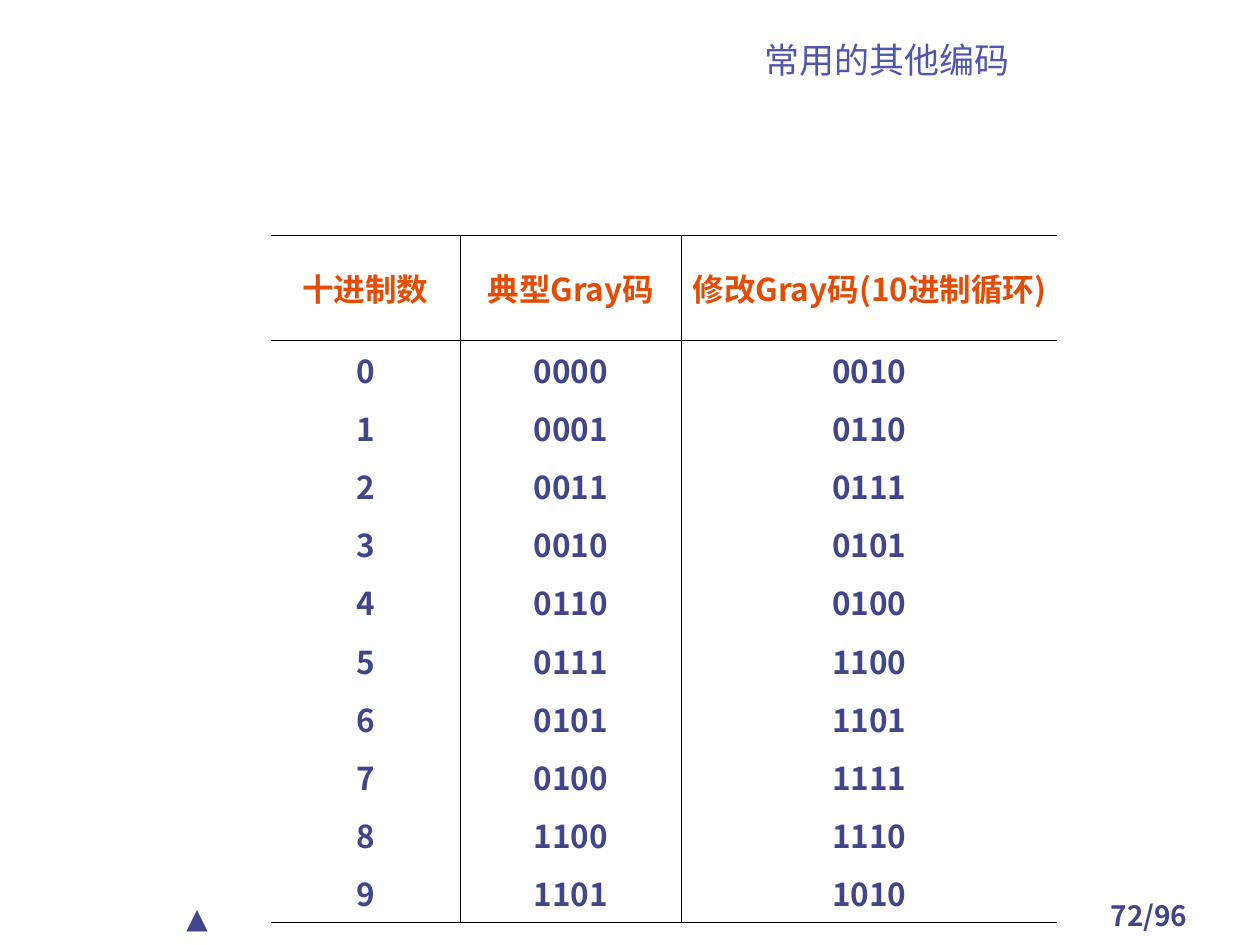
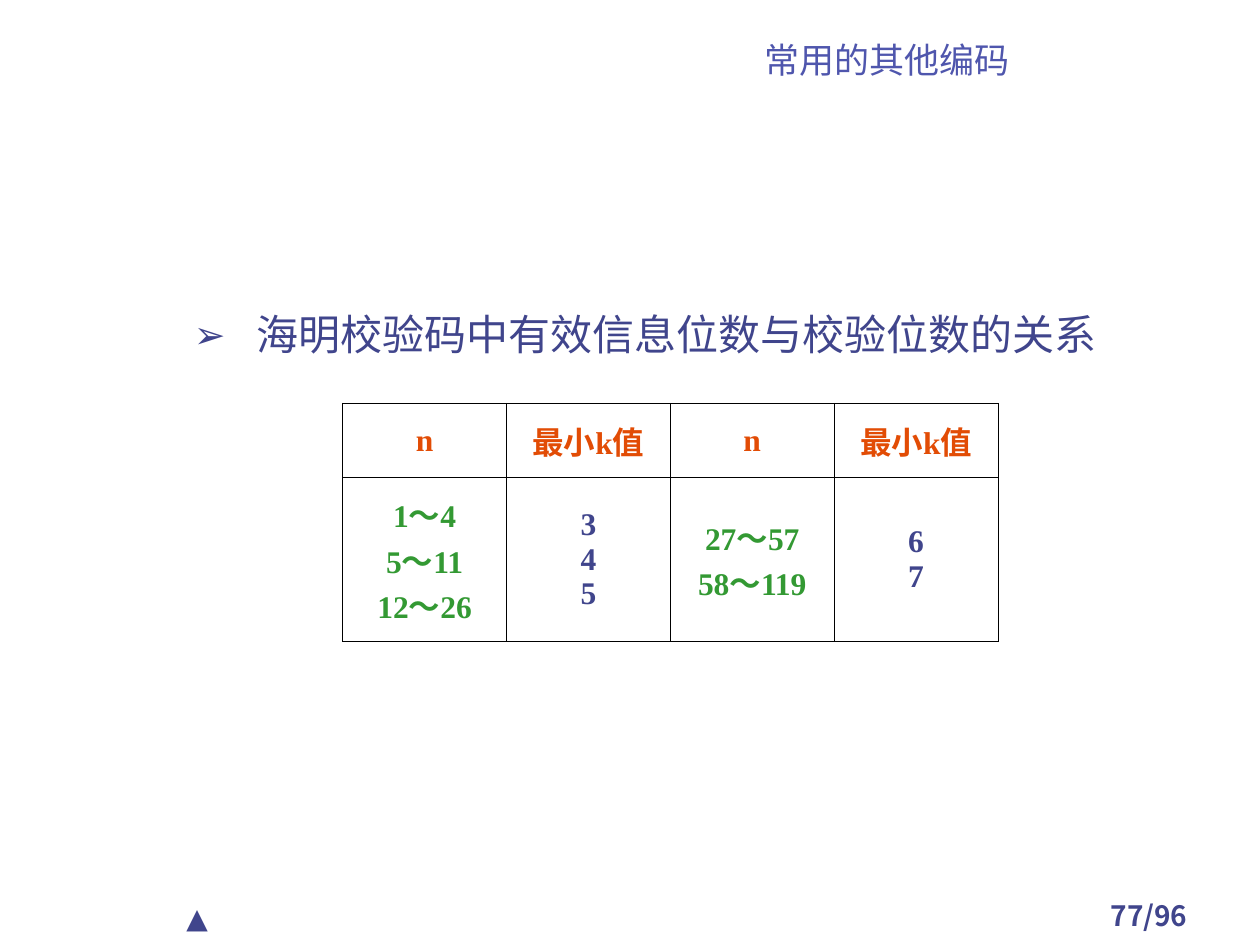
from lxml.etree import SubElement
from pptx import Presentation
from pptx.dml.color import RGBColor
from pptx.enum.text import MSO_ANCHOR as Anchor, PP_ALIGN as Align
from pptx.oxml.ns import qn
from pptx.util import Inches, Pt

# Shared look
INDIGO, TITLE_BLUE = "40458C", "4F56AD"
ORANGE, GREEN, BLACK = "E24C05", "339933", "000000"
SANS, CJK, SERIF = "Lato", "Noto Sans CJK SC", "Times New Roman"
HAIRLINE, DIVIDER = 0.45, 0.96
TITLE = "常用的其他编码"
PAGE_COUNT = 96


def color(hex_code):
    return RGBColor.from_string(hex_code)


def add_run(paragraph, text, size, font, hex_code, bold=False):
    run = paragraph.add_run()
    run.text = text
    run.font.size = Pt(size)
    run.font.name = font
    run.font.bold = bold
    run.font.color.rgb = color(hex_code)
    SubElement(run._r.get_or_add_rPr(), qn("a:ea"), typeface=CJK)


def add_line(slide, box, text, size, font, hex_code, bold=False,
             align=Align.LEFT, anchor=Anchor.TOP):
    frame = slide.shapes.add_textbox(*map(Inches, box)).text_frame
    frame.word_wrap = True
    frame.vertical_anchor = anchor
    paragraph = frame.paragraphs[0]
    paragraph.alignment = align
    add_run(paragraph, text, size, font, hex_code, bold)
    return paragraph


def add_page(deck, number):
    """Blank slide with the title, the page number and the corner mark."""
    slide = deck.slides.add_slide(deck.slide_layouts[6])
    add_line(slide, (8.41, 7.08, 1.42, 0.33), f"{number}/{PAGE_COUNT}", 16, CJK,
             INDIGO, bold=True, align=Align.CENTER)
    add_line(slide, (1.38, 7.1, 1.42, 0.37), "▲", 16, SANS, INDIGO)
    add_line(slide, (4.25, 0.27, 5.58, 0.42), TITLE, 20, SANS, TITLE_BLUE,
             align=Align.CENTER, anchor=Anchor.BOTTOM)
    return slide


def add_bullet(slide, box, text):
    paragraph = add_line(slide, box, text, 24, SANS, INDIGO)
    paragraph.line_spacing = 1.1
    props = paragraph._p.get_or_add_pPr()
    props.set("marL", str(Inches(1.19)))
    props.set("indent", str(Inches(-0.5)))
    bullet_color = SubElement(props, qn("a:buClr"))
    SubElement(bullet_color, qn("a:srgbClr"), val=INDIGO)
    SubElement(props, qn("a:buSzPct"), val="90000")
    SubElement(props, qn("a:buFont"), typeface=SANS)
    SubElement(props, qn("a:buChar"), char="➢")


def set_borders(cell, left, right, top, bottom):
    """Border widths in points; 0 leaves the side open."""
    props = cell._tc.get_or_add_tcPr()
    for side, width in zip("LRTB", (left, right, top, bottom)):
        line = SubElement(props, qn(f"a:ln{side}"), w=str(Pt(width)))
        if width:
            fill = SubElement(line, qn("a:solidFill"))
            SubElement(fill, qn("a:srgbClr"), val=BLACK)
        else:
            SubElement(line, qn("a:noFill"))


def add_grid(slide, corner, col_widths, row_heights, rows, font, margin,
             body_colors, body_anchor, col_lines, row_lines):
    """Table whose cells hold one paragraph per text line.

    col_lines and row_lines give the width of every grid line, edges included.
    """
    size = sum(col_widths), sum(row_heights)
    table = slide.shapes.add_table(len(rows), len(col_widths),
                                   *map(Inches, corner + size)).table
    table.first_row = table.horz_banding = False
    for column, width in zip(table.columns, col_widths):
        column.width = Inches(width)
    for row, height in zip(table.rows, row_heights):
        row.height = Inches(height)

    for r, texts in enumerate(rows):
        for c, text in enumerate(texts):
            cell = table.cell(r, c)
            is_header = r == 0
            cell.margin_left = cell.margin_right = Inches(margin)
            cell.vertical_anchor = Anchor.MIDDLE if is_header else body_anchor
            set_borders(cell, *col_lines[c:c + 2], *row_lines[r:r + 2])
            cell.fill.background()
            frame = cell.text_frame
            for i, line in enumerate(text.split("\n")):
                paragraph = frame.add_paragraph() if i else frame.paragraphs[0]
                paragraph.alignment = Align.CENTER
                add_run(paragraph, line, 18, font,
                        ORANGE if is_header else body_colors[c], bold=True)


def gray_code_slide(deck):
    slide = add_page(deck, 72)
    header = ("十进制数", "典型Gray码", "修改Gray码(10进制循环)")
    typical = "0000 0001 0011 0010 0110 0111 0101 0100 1100 1101".split()
    modified = "0010 0110 0111 0101 0100 1100 1101 1111 1110 1010".split()
    digits = [str(n) for n in range(10)]
    body_height = 4.62
    row_heights = [0.83] + [body_height / len(digits)] * len(digits)
    add_grid(slide, (2.15, 1.87), (1.5, 1.76, 2.98), row_heights,
             [header, *zip(digits, typical, modified)], CJK, 0.07,
             [INDIGO] * 3, Anchor.TOP,
             col_lines=[0, HAIRLINE, HAIRLINE, 0],
             row_lines=[HAIRLINE, HAIRLINE] + [0] * 9 + [HAIRLINE])


def hamming_slide(deck):
    slide = add_page(deck, 77)
    add_bullet(slide, (0.75, 2.36, 8.5, 4.62), "海明校验码中有效信息位数与校验位数的关系")
    rows = [("n", "最小k值") * 2,
            ("1～4\n5～11\n12～26", "3\n4\n5", "27～57\n58～119", "6\n7")]
    add_grid(slide, (2.72, 3.2), [1.3] * 4, (0.59, 1.3), rows, SERIF, 0.1,
             [GREEN, INDIGO] * 2, Anchor.MIDDLE,
             col_lines=[HAIRLINE, HAIRLINE, DIVIDER, HAIRLINE, HAIRLINE],
             row_lines=[HAIRLINE] * 3)


def main():
    deck = Presentation()
    deck.slide_width, deck.slide_height = Inches(10), Inches(7.5)
    gray_code_slide(deck)
    hamming_slide(deck)
    deck.save("out.pptx")


if __name__ == "__main__":
    main()
